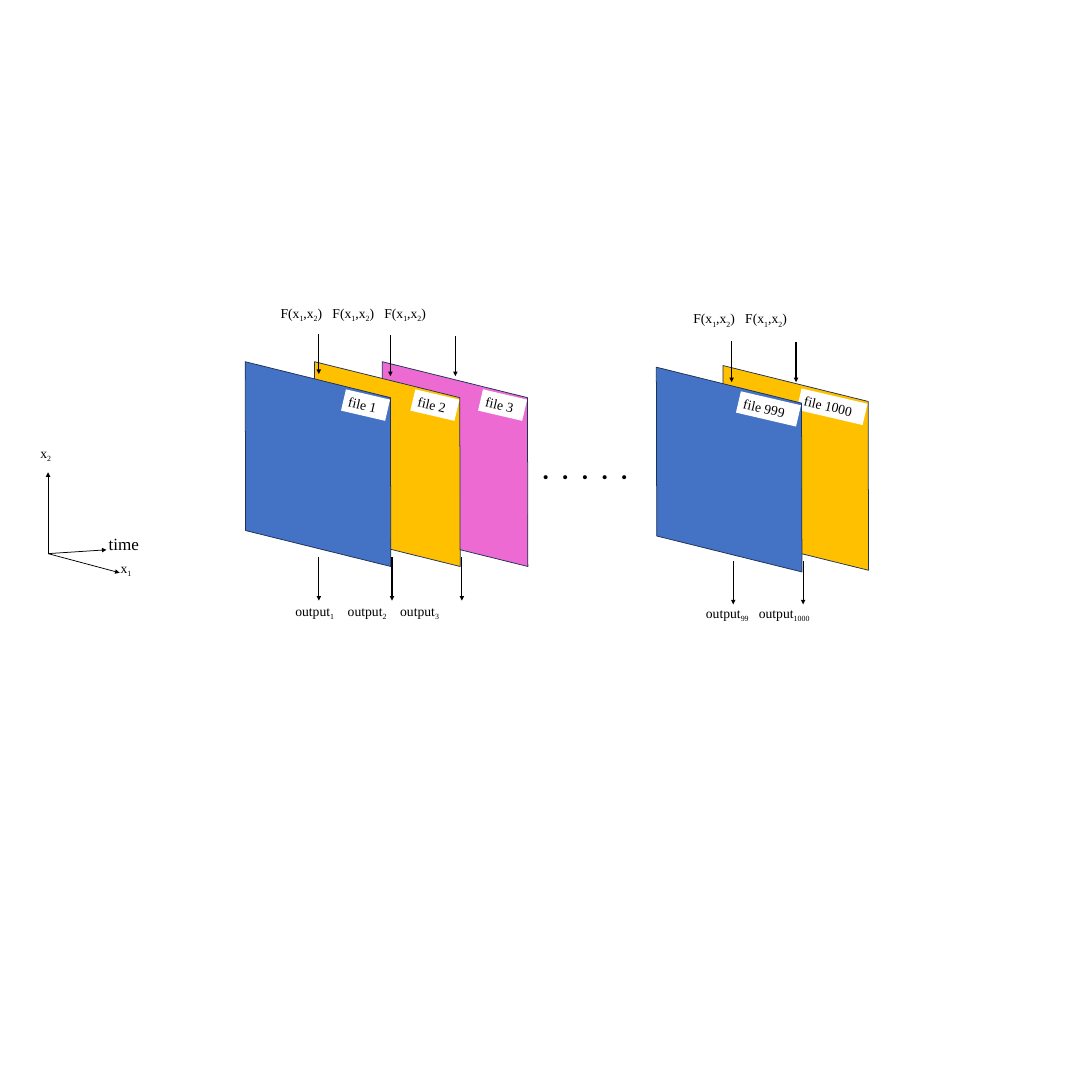
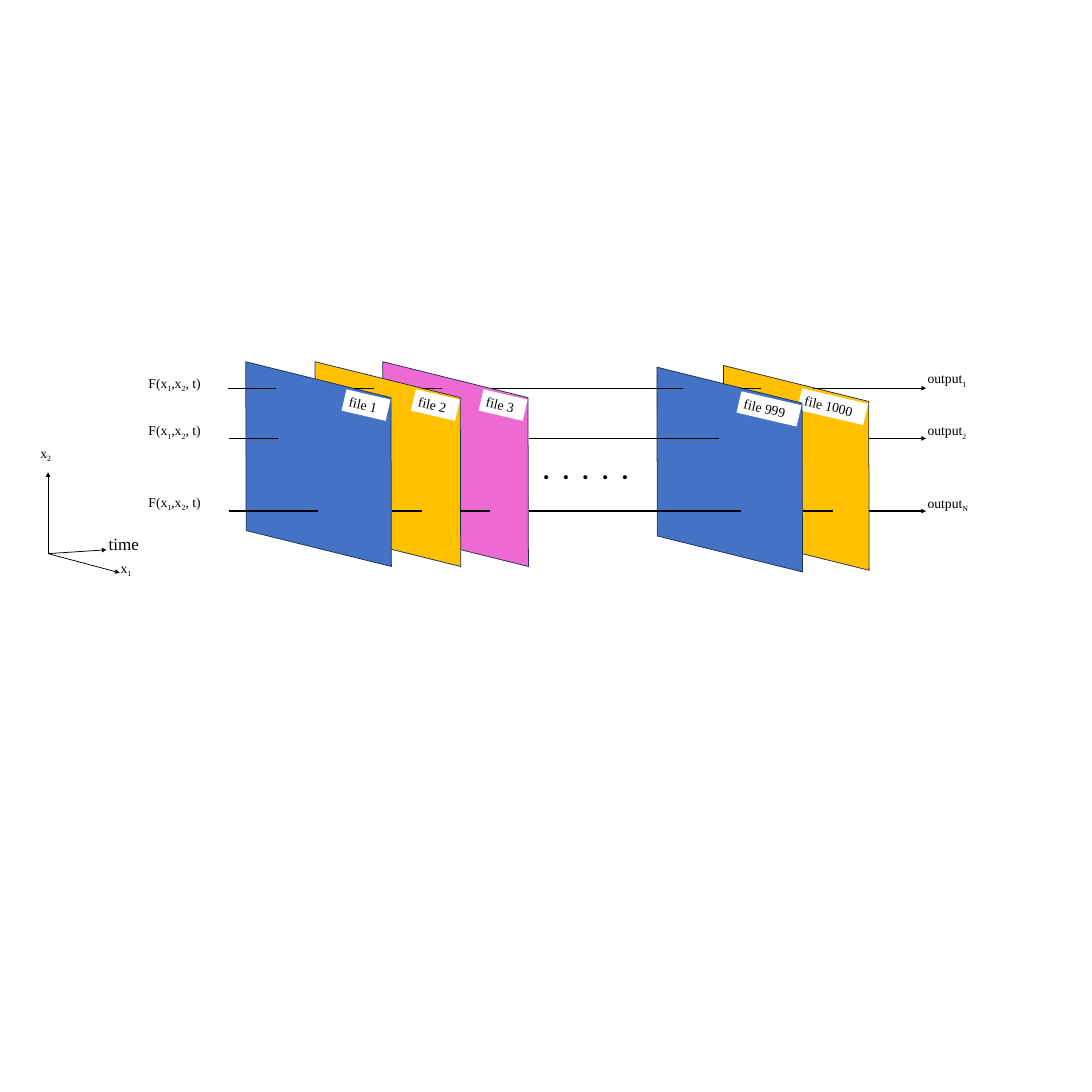
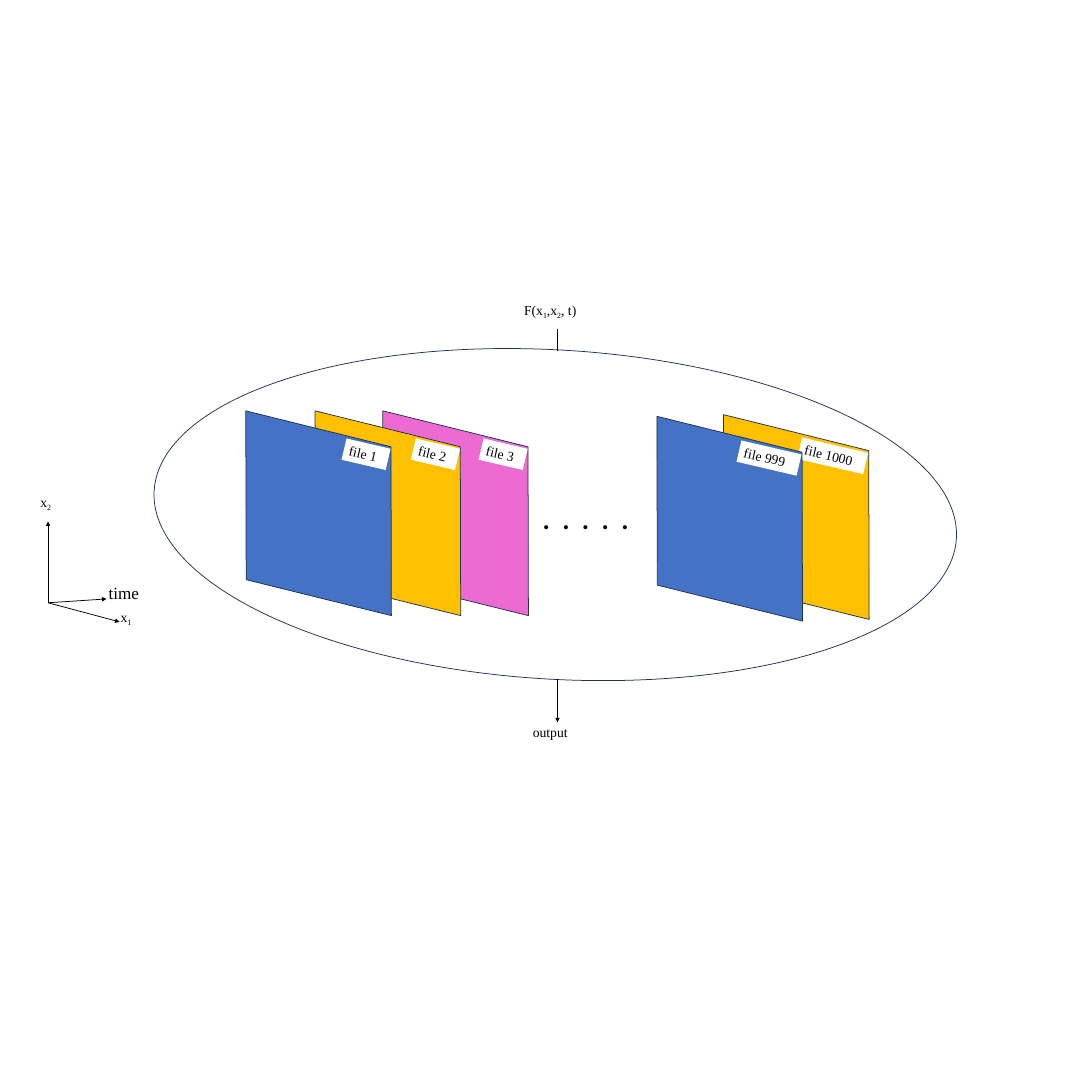
from dataclasses import dataclass
from itertools import pairwise

from lxml.etree import SubElement
from pptx import Presentation
from pptx.dml.color import RGBColor
from pptx.enum.shapes import MSO_CONNECTOR as Connector, MSO_SHAPE as Preset
from pptx.oxml.ns import qn
from pptx.slide import Slide
from pptx.util import Pt

PX = 9144
SIDE = 2000


@dataclass(frozen=True)
class Theme:
    ink: str = "000000"
    paper: str = "FFFFFF"
    edge: str = "1E3256"
    blue: str = "4472C4"
    amber: str = "FFC000"
    pink: str = "ED6AD3"
    serif: str = "Times New Roman"
    sans: str = "Calibri"
    label_size: float = 18
    axis_size: float = 22.5
    dots_size: float = 36
    thin: float = 1
    flow: float = 1.5


THEME = Theme()


@dataclass(frozen=True)
class Panel:
    name: str
    x: int
    y: int
    tag_width: int
    color: str


@dataclass(frozen=True)
class Group:
    labels: tuple[str, ...]
    x: int
    y: int
    width: int
    pitch: int


@dataclass(frozen=True)
class Drop:
    x: int
    top: int
    bottom: int


@dataclass(frozen=True)
class TimeSeries:
    y: int
    input_top: int
    output_top: int
    output: str
    spans: tuple[tuple[int, int], ...]
    arrow_start: int


PANELS = (
    Panel("file 3", 659, 700, 83, THEME.pink),
    Panel("file 2", 535, 700, 83, THEME.amber),
    Panel("file 1000", 1283, 707, 124, THEME.amber),
    Panel("file 1", 408, 700, 83, THEME.blue),
    Panel("file 999", 1161, 710, 113, THEME.blue),
)
SPACE_INPUT = "F(x|1|,x|2|)"
SPACE_TIME_INPUT = "F(x|1|,x|2|, t)"

FRAME_GROUPS = (
    Group((SPACE_INPUT,) * 3, 504, 553, 445, 95),
    Group(("output|1|", "output|2|", "output|3|"), 531, 1099, 411, 96),
    Group((SPACE_INPUT,) * 2, 1260, 563, 295, 95),
    Group(("output|99|", "output|1000|"), 1283, 1103, 307, 97),
)
FRAME_DROPS = (
    Drop(584, 611, 685), Drop(715, 614, 689), Drop(834, 615, 689),
    Drop(584, 1021, 1100), Drop(718, 1021, 1100), Drop(846, 1021, 1100),
    Drop(1340, 625, 700), Drop(1458, 626, 700),
    Drop(1343, 1028, 1107), Drop(1471, 1028, 1107),
)
SERIES = (
    TimeSeries(711, 681, 673, "output|1|",
               ((417, 505), (649, 685), (773, 809), (902, 1251), (1357, 1393)), 1489),
    TimeSeries(803, 768, 768, "output|2|", ((420, 509), (968, 1317)), 1591),
    TimeSeries(936, 899, 901, "output|N|",
               ((420, 583), (718, 773), (843, 898), (968, 1357), (1471, 1526)), 1592),
)


def rgb(color: str) -> RGBColor:
    return RGBColor.from_string(color)


def write(frame, text: str, *, size: float = THEME.label_size, font: str = THEME.serif,
          bold: bool = False, tabs: tuple[int, ...] = ()) -> None:
    frame.word_wrap = True
    paragraph = frame.paragraphs[0]
    if tabs:
        stops = SubElement(paragraph._p.get_or_add_pPr(), qn("a:tabLst"))
        for stop in tabs:
            SubElement(stops, qn("a:tab"), pos=str(stop * PX), algn="l")
    for index, part in enumerate(text.split("|")):
        if not part:
            continue
        run = paragraph.add_run()
        run.text = part
        run.font.size = Pt(size)
        run.font.name = font
        run.font.bold = bold
        run.font.color.rgb = rgb(THEME.ink)
        if index % 2:
            run.font._element.set("baseline", "-25000")


def add_text(slide: Slide, x: int, y: int, width: int, height: int, text: str, **style) -> None:
    box = slide.shapes.add_textbox(x * PX, y * PX, width * PX, height * PX)
    write(box.text_frame, text, **style)


def add_tabbed(slide: Slide, x: int, y: int, width: int, height: int,
               items: tuple[str, ...], pitch: int, **style) -> None:
    tabs = tuple(pitch * step for step in range(1, len(items)))
    add_text(slide, x, y, width, height, "\t".join(items), tabs=tabs, **style)


def add_line(slide: Slide, start: tuple[int, int], end: tuple[int, int], *,
             width: float = THEME.flow, arrow: bool = True) -> None:
    connector = slide.shapes.add_connector(
        Connector.STRAIGHT, *(length * PX for length in (*start, *end)))
    connector.line.width = Pt(width)
    connector.line.color.rgb = rgb(THEME.ink)
    if arrow:
        SubElement(connector.line._get_or_add_ln(), qn("a:tailEnd"), type="triangle")
    SubElement(connector._element.spPr, qn("a:effectLst"))


def add_figure(slide: Slide, preset: Preset, x: int, y: int, width: int, height: int, *,
               rotation: float, fill: str | None = None, edge: str | None = None):
    figure = slide.shapes.add_shape(preset, x * PX, y * PX, width * PX, height * PX)
    figure.shadow.inherit = False
    figure.rotation = rotation
    if fill:
        figure.fill.solid()
        figure.fill.fore_color.rgb = rgb(fill)
    else:
        figure.fill.background()
    if edge:
        figure.line.color.rgb = rgb(edge)
        figure.line.width = Pt(THEME.thin)
    else:
        figure.line.fill.background()
    return figure


def add_panel(slide: Slide, panel: Panel, dx: int, dy: int) -> None:
    x, y = panel.x + dx, panel.y + dy
    sheet = add_figure(slide, Preset.PARALLELOGRAM, x, y, 349, 300, rotation=193.9,
                       fill=panel.color, edge=THEME.edge)
    sheet._element.spPr.xfrm.set("flipH", "1")
    tag_top = y + 22 - (panel.tag_width - 83) // 10
    tag = slide.shapes.add_textbox((x + 303 - panel.tag_width) * PX, tag_top * PX,
                                   panel.tag_width * PX, 40 * PX)
    tag.rotation = 13.1
    tag.fill.solid()
    tag.fill.fore_color.rgb = rgb(THEME.paper)
    write(tag.text_frame, panel.name)


def add_axes(slide: Slide, dy: int) -> None:
    add_text(slide, 189, 972 + dy, 92, 48, "time", size=THEME.axis_size)
    add_text(slide, 211, 1020 + dy, 61, 50, "x|1|")
    add_text(slide, 64, 809 + dy, 61, 50, "x|2|")
    for tip_x, tip_y in ((88, 865), (219, 1049), (195, 1007)):
        add_line(slide, (88, 1014 + dy), (tip_x, tip_y + dy), width=THEME.thin)


def add_stack(prs, dx: int = 0, dy: int = 0) -> Slide:
    slide = prs.slides.add_slide(prs.slide_layouts[6])
    for panel in PANELS:
        add_panel(slide, panel, dx, dy)
    add_tabbed(slide, 983 + dx, 824 + dy, 190, 71, (".",) * 5, 36,
               size=THEME.dots_size, font=THEME.sans, bold=True)
    add_axes(slide, dy)
    return slide


def build_per_frame(prs) -> None:
    slide = add_stack(prs)
    for group in FRAME_GROUPS:
        add_tabbed(slide, group.x, group.y, group.width, 50, group.labels, group.pitch)
    for drop in FRAME_DROPS:
        add_line(slide, (drop.x, drop.top), (drop.x, drop.bottom))


def build_per_point(prs) -> None:
    slide = add_stack(prs, dx=1)
    for series in SERIES:
        add_text(slide, 262, series.input_top, 182, 50, SPACE_TIME_INPUT)
        add_text(slide, 1689, series.output_top, 152, 50, series.output)
        for left, right in series.spans:
            add_line(slide, (left, series.y), (right, series.y), arrow=False)
        add_line(slide, (series.arrow_start, series.y), (1696, series.y))


def build_whole(prs) -> None:
    slide = add_stack(prs, dx=1, dy=90)
    add_figure(slide, Preset.OVAL, 281, 641, 1472, 603, rotation=3.4, edge=THEME.edge)
    add_text(slide, 950, 548, 182, 50, SPACE_TIME_INPUT)
    add_text(slide, 966, 1320, 142, 50, "output")
    add_line(slide, (1021, 603), (1021, 643), arrow=False)
    add_line(slide, (1021, 1244), (1021, 1323))


def main() -> None:
    prs = Presentation()
    prs.slide_width = prs.slide_height = SIDE * PX
    for build in (build_per_frame, build_per_point, build_whole):
        build(prs)
    prs.save("out.pptx")


if __name__ == "__main__":
    main()
